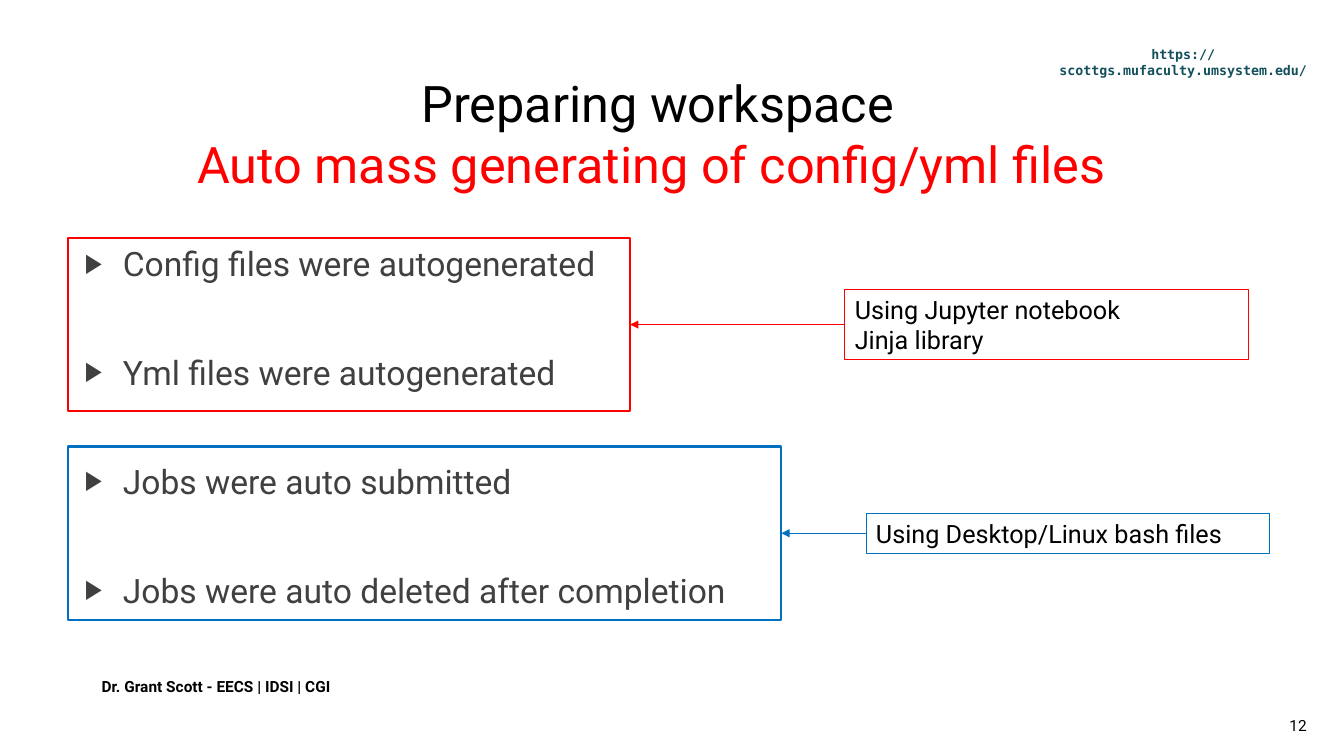
from lxml import etree
from pptx import Presentation
from pptx.dml.color import RGBColor
from pptx.enum.shapes import MSO_CONNECTOR as Connector, MSO_SHAPE as Shape
from pptx.enum.text import MSO_ANCHOR as Anchor, MSO_AUTO_SIZE as AutoSize, PP_ALIGN as Align
from pptx.oxml.ns import qn
from pptx.util import Inches, Pt

BLACK, RED, BLUE, GREY, TEAL = "000000", "FF0000", "0070C0", "404040", "134F5C"


def color(hex_value):
    return RGBColor.from_string(hex_value)


def style_font(font, size, hex_value, **formats):
    values = {"name": "Roboto", "size": Pt(size), "bold": False, **formats}
    for name, value in values.items():
        setattr(font, name, value)
    font.color.rgb = color(hex_value)


def place(shape, left, top, width, height):
    for name, value in zip(("left", "top", "width", "height"), (left, top, width, height)):
        setattr(shape, name, Inches(value))


def style_line(line, hex_value, width):
    line.color.rgb = color(hex_value)
    line.width = Pt(width)


def set_title(slide, box, lines):
    title = slide.shapes.title
    place(title, *box)
    frame = title.text_frame
    frame.auto_size = AutoSize.NONE
    frame.vertical_anchor = Anchor.TOP
    paragraph = frame.paragraphs[0]
    paragraph.alignment = Align.CENTER
    for index, (text, hex_value) in enumerate(lines):
        if index:
            paragraph.add_line_break()
        run = paragraph.add_run()
        run.text = text
        style_font(run.font, 36, hex_value)


def write_lines(frame, lines, size, hex_value, align=Align.LEFT, **formats):
    for index, text in enumerate(lines):
        paragraph = frame.add_paragraph() if index else frame.paragraphs[0]
        paragraph.alignment = align
        run = paragraph.add_run()
        run.text = text
        style_font(run.font, size, hex_value, **formats)


def add_text(slide, box, lines, size, hex_value, anchor=Anchor.MIDDLE, **formats):
    frame = slide.shapes.add_textbox(*map(Inches, box)).text_frame
    frame.word_wrap = True
    frame.vertical_anchor = anchor
    write_lines(frame, lines, size, hex_value, **formats)
    return frame


def add_bullets(slide, box, items):
    frame = add_text(slide, box, items, 24, GREY, Anchor.TOP)
    for index, paragraph in enumerate(frame.paragraphs):
        properties = paragraph._p.get_or_add_pPr()
        properties.set("marL", str(Inches(0.38)))
        properties.set("indent", str(-Inches(0.38)))
        if index:
            paragraph.space_before = Pt(49)
        etree.SubElement(properties, qn("a:buSzPct"), val="80000")
        etree.SubElement(properties, qn("a:buFont"), typeface="Roboto")
        etree.SubElement(properties, qn("a:buChar"), char="▶")


def add_frame(slide, box, hex_value, line_width):
    """Add an unfilled rectangle with a coloured outline."""
    frame = slide.shapes.add_shape(Shape.RECTANGLE, *map(Inches, box))
    frame.shadow.inherit = False
    frame.fill.background()
    style_line(frame.line, hex_value, line_width)
    return frame


def add_label(slide, box, lines, hex_value):
    label = add_frame(slide, box, hex_value, 0.75)
    label.text_frame.word_wrap = True
    label.text_frame.vertical_anchor = Anchor.TOP
    write_lines(label.text_frame, lines, 18, BLACK)
    return label


def add_arrow(slide, source, target, hex_value):
    """Point from the left side of source to the right side of target."""
    arrow = slide.shapes.add_connector(Connector.STRAIGHT, 0, 0, 0, 0)
    arrow.begin_connect(source, 1)
    arrow.end_connect(target, 3)
    style_line(arrow.line, hex_value, 1)
    etree.SubElement(arrow.line._get_or_add_ln(), qn("a:tailEnd"), type="triangle")
    etree.SubElement(arrow._element.spPr, qn("a:effectLst"))


def main():
    presentation = Presentation()
    presentation.slide_width, presentation.slide_height = Inches(13.33), Inches(7.5)
    slide = presentation.slides.add_slide(presentation.slide_layouts[5])

    add_text(slide, (10.14, 0.51, 3.19, 0.22), ["https://scottgs.mufaculty.umsystem.edu/"],
             9.5, TEAL, align=Align.CENTER, name="DejaVu Sans Mono", bold=True)
    set_title(slide, (0.74, 0.67, 11.57, 1.44), [
        ("Preparing workspace", BLACK),
        ("Auto mass generating of config/yml files ", RED),
    ])
    add_bullets(slide, (0.74, 2.36, 11.57, 4.24), [
        "Config files were autogenerated",
        "Yml files were autogenerated",
        "Jobs were auto submitted",
        "Jobs were auto deleted after completion",
    ])
    add_text(slide, (12.31, 7, 0.75, 0.4), ["12"], 11, BLACK, align=Align.RIGHT)
    add_text(slide, (0.91, 6.61, 2.83, 0.39), ["Dr. Grant Scott - EECS | IDSI | CGI"],
             11, BLACK, bold=True)

    groups = [
        (RED, (0.67, 2.36, 5.58, 1.72), (8.38, 2.87, 4, 0.7),
         ["Using Jupyter notebook", "Jinja library"]),
        (BLUE, (0.67, 4.43, 7.08, 1.72), (8.59, 5.09, 4, 0.4),
         ["Using Desktop/Linux bash files"]),
    ]
    for hex_value, frame_box, label_box, lines in groups:
        frame = add_frame(slide, frame_box, hex_value, 1.5)
        label = add_label(slide, label_box, lines, hex_value)
        add_arrow(slide, label, frame, hex_value)

    presentation.save("out.pptx")


if __name__ == "__main__":
    main()
